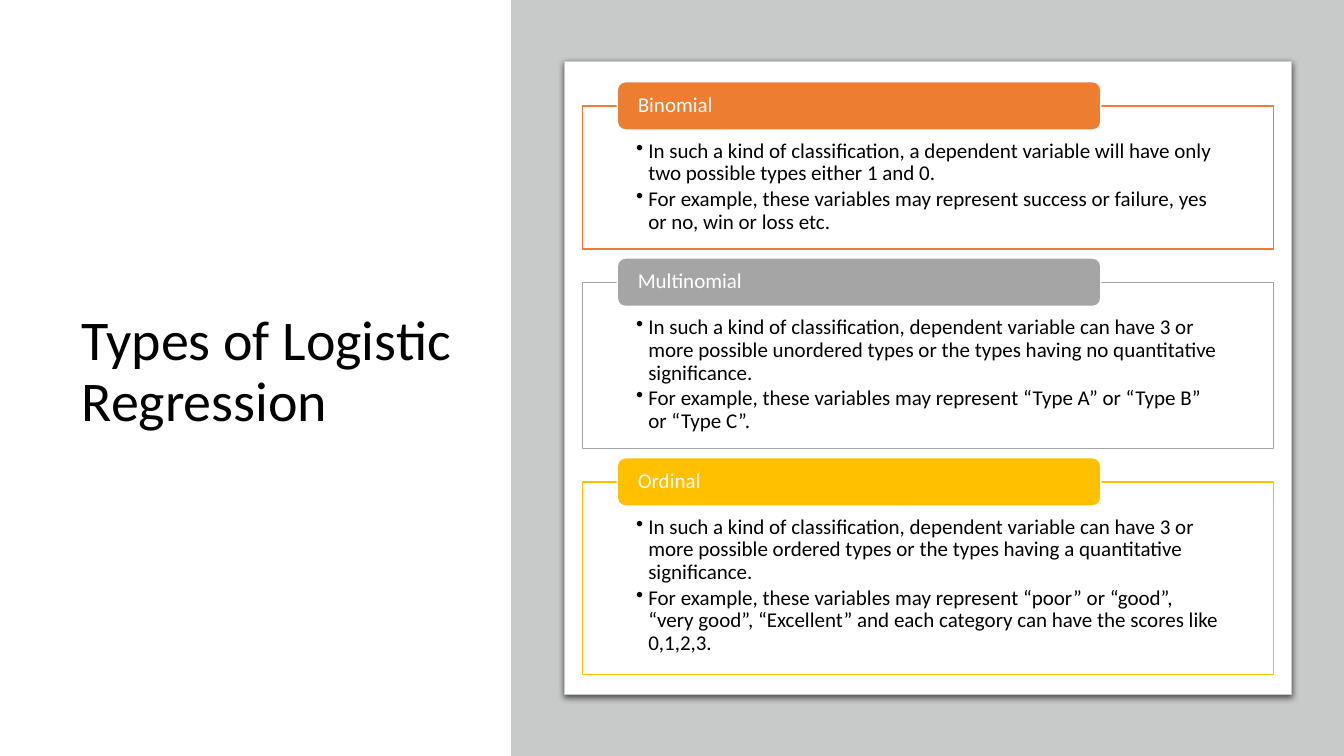
from lxml.etree import SubElement
from pptx import Presentation
from pptx.dml.color import RGBColor
from pptx.enum.shapes import MSO_SHAPE
from pptx.enum.text import MSO_ANCHOR, MSO_AUTO_SIZE, PP_ALIGN
from pptx.oxml import parse_xml
from pptx.oxml.ns import nsdecls, qn
from pptx.util import Inches, Pt

WHITE = RGBColor(0xFF, 0xFF, 0xFF)
BLACK = RGBColor(0x00, 0x00, 0x00)
SILVER = RGBColor(0xC8, 0xCA, 0xCA)
ORANGE = RGBColor(0xED, 0x7D, 0x31)
GRAY = RGBColor(0xA5, 0xA5, 0xA5)
GOLD = RGBColor(0xFF, 0xC0, 0x00)
FONT = "Calibri"

# Heading, colour, height of the frame, bullets
TYPES = [
    ("Binomial", ORANGE, 1.42, [
        "In such a kind of classification, a dependent variable will have only "
        "two possible types either 1 and 0.",
        "For example, these variables may represent success or failure, yes or no, "
        "win or loss etc."]),
    ("Multinomial", GRAY, 1.65, [
        "In such a kind of classification, dependent variable can have 3 or more "
        "possible unordered types or the types having no quantitative significance.",
        "For example, these variables may represent “Type A” or “Type B” or “Type C”."]),
    ("Ordinal", GOLD, 1.91, [
        "In such a kind of classification, dependent variable can have 3 or more "
        "possible ordered types or the types having a quantitative significance.",
        "For example, these variables may represent “poor” or “good”, “very good”, "
        "“Excellent” and each category can have the scores like 0,1,2,3."]),
]
FRAME_GAP = 0.33
TAB_HEIGHT = 0.48


def add_box(s, kind, box, fill, line=None, width=1):
    sp = s.shapes.add_shape(kind, *map(Inches, box))
    sp.shadow.inherit = False
    sp.fill.solid()
    sp.fill.fore_color.rgb = fill
    if line is None:
        sp.line.fill.background()
    else:
        sp.line.color.rgb = line
        sp.line.width = Pt(width)
    return sp


def set_insets(tf, left, top, right, bottom):
    tf.margin_left, tf.margin_top = Inches(left), Inches(top)
    tf.margin_right, tf.margin_bottom = Inches(right), Inches(bottom)
    tf.word_wrap = True


def format_paragraph(p, size, color):
    p.alignment = PP_ALIGN.LEFT
    p.line_spacing = 0.9
    p.font.name = FONT
    p.font.size = Pt(size)
    p.font.color.rgb = color


def add_bullet(p):
    pPr = p._p.get_or_add_pPr()
    pPr.set("marL", str(Inches(0.12)))
    pPr.set("indent", str(-Inches(0.12)))
    bullet = parse_xml(f'<a:buChar {nsdecls("a")} char="•"/>')
    pPr.insert_element_before(bullet, "a:tabLst", "a:defRPr", "a:extLst")


def add_title(s, box):
    title = s.shapes.title
    title.left, title.top, title.width, title.height = map(Inches, box)
    tf = title.text_frame
    tf.text = "Types of Logistic Regression"
    tf.word_wrap = True
    tf.auto_size = MSO_AUTO_SIZE.NONE
    tf.vertical_anchor = MSO_ANCHOR.MIDDLE
    format_paragraph(tf.paragraphs[0], 40, BLACK)


def add_panel(s, box):
    sp = add_box(s, MSO_SHAPE.ROUNDED_RECTANGLE, box, WHITE, SILVER, 0.75)
    sp.adjustments[0] = 0
    # Soft shadow below the panel
    effects = sp._element.spPr.find(qn("a:effectLst"))
    shadow = SubElement(effects, qn("a:outerShdw"), blurRad=str(Pt(4.5)),
                        dist=str(Pt(1.5)), dir="5400000", rotWithShape="0")
    color = SubElement(shadow, qn("a:srgbClr"), val="000000")
    SubElement(color, qn("a:alpha"), val="63000")


def add_type(s, box, heading, color, bullets):
    left, top, width, height = box

    # Outlined frame with bullets
    frame = add_box(s, MSO_SHAPE.RECTANGLE, box, WHITE, color)
    tf = frame.text_frame
    set_insets(tf, 0.53, 0.34, 0.53, 0.12)
    tf.vertical_anchor = MSO_ANCHOR.TOP
    tf.text = "\n".join(bullets)
    for p in tf.paragraphs:
        format_paragraph(p, 15, BLACK)
        p.space_after = Pt(2)
        add_bullet(p)

    # Heading tab across the top edge
    tab_box = (left + 0.05 * width, top - TAB_HEIGHT / 2, 0.7 * width, TAB_HEIGHT)
    tab = add_box(s, MSO_SHAPE.ROUNDED_RECTANGLE, tab_box, color, WHITE)
    tf = tab.text_frame
    set_insets(tf, 0.18, 0, 0.18, 0)
    tf.vertical_anchor = MSO_ANCHOR.MIDDLE
    tf.text = heading
    format_paragraph(tf.paragraphs[0], 15, WHITE)


def add_types(s, box):
    left, top, width = box
    for heading, color, height, bullets in TYPES:
        add_type(s, (left, top, width, height), heading, color, bullets)
        top += height + FRAME_GAP


def main():
    prs = Presentation()
    prs.slide_width, prs.slide_height = Inches(13.33), Inches(7.5)
    s = prs.slides.add_slide(prs.slide_layouts[5])
    add_title(s, (0.71, 0.69, 4.01, 6.02))
    add_box(s, MSO_SHAPE.RECTANGLE, (5.07, 0, 8.26, 7.5), SILVER)
    add_panel(s, (5.6, 0.61, 7.21, 6.28))
    add_types(s, (5.78, 1.05, 6.85))
    prs.save("out.pptx")


if __name__ == "__main__":
    main()
